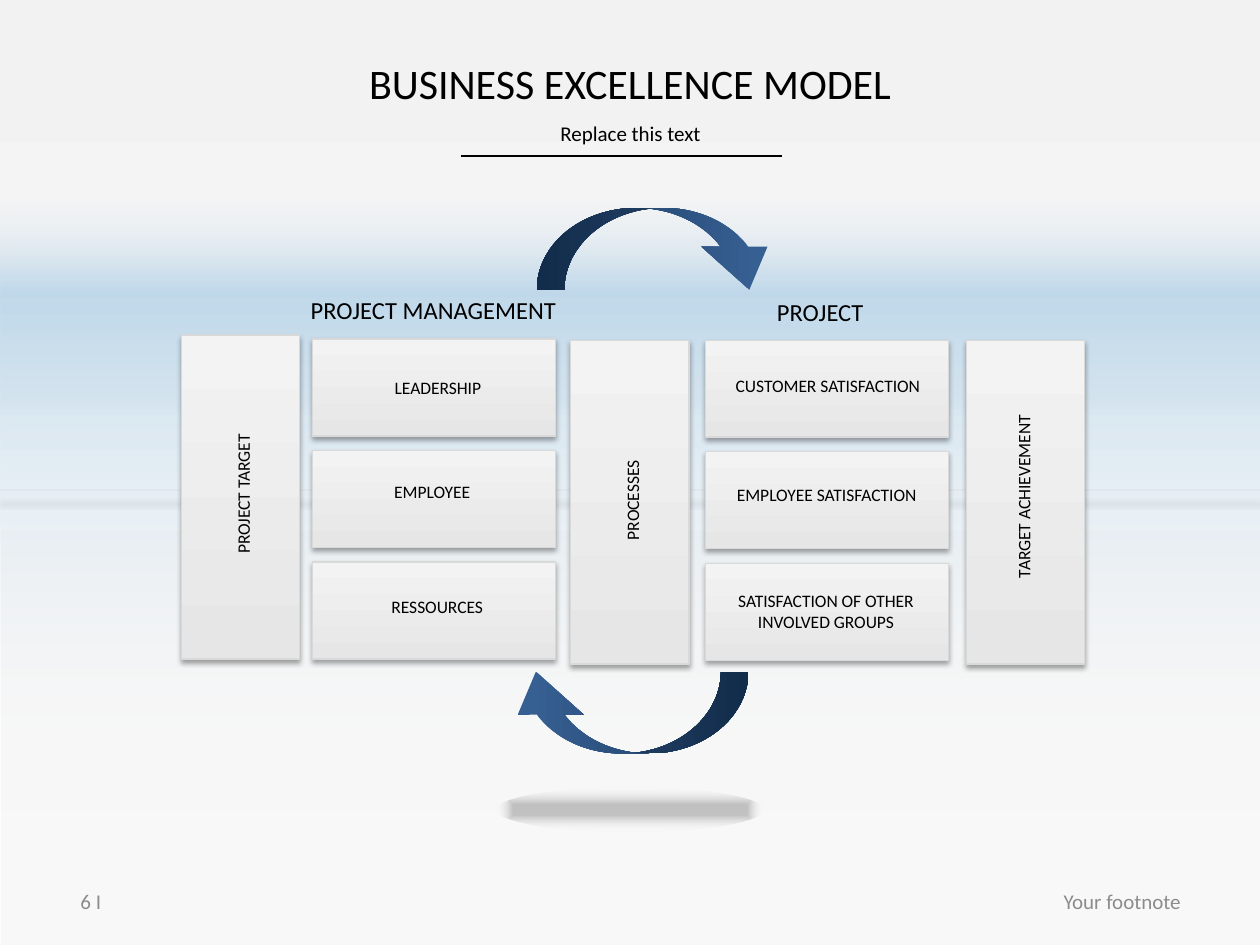
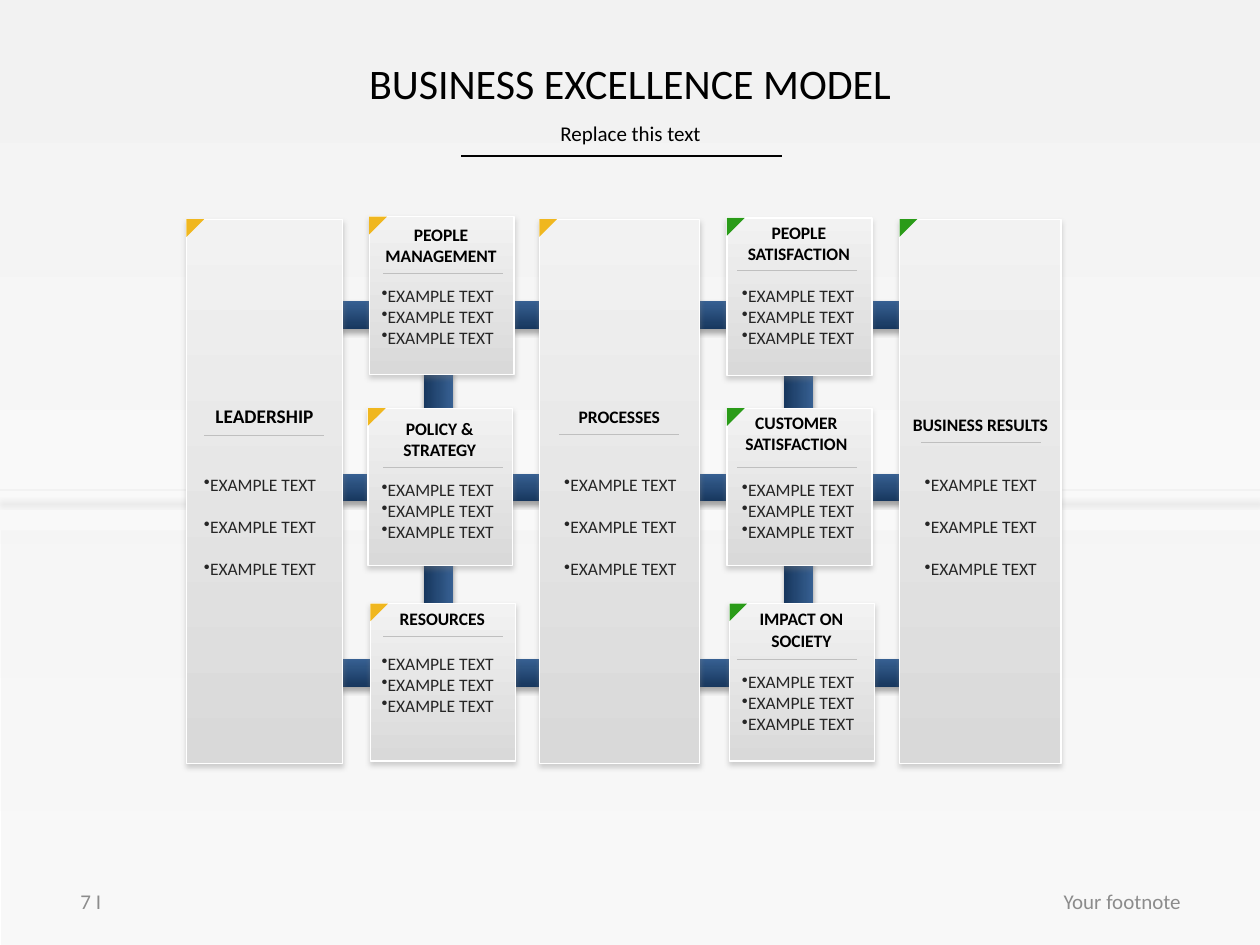
from dataclasses import dataclass
from typing import Any

from pptx import Presentation
from pptx.dml.color import RGBColor
from pptx.enum.shapes import MSO_CONNECTOR as Link, MSO_SHAPE as Shape
from pptx.enum.text import MSO_ANCHOR as Anchor, PP_ALIGN as Align
from pptx.oxml import parse_xml
from pptx.oxml.ns import nsdecls
from pptx.util import Inches, Pt

COLORS = {
    "black": "000000", "white": "FFFFFF", "text": "262626", "footer": "8C8C8C",
    "mist": "F2F2F2", "silver": "D9D9D9", "rule": "BFBFBF", "shade": "808080",
    "pale": "F3F3F3", "ash": "E6E6E6", "sky": "0070C0",
    "blue": "376092", "navy": "17375E", "enabler": "F0B71F", "result": "2A9B18",
}
FONT = "Calibri"
COLUMNS, ROWS = 100, 75
DOWN, LEFTWARD, UP = 90, 180, 270

CARD = [(0, "ash"), (100, "pale")]
PANEL = [(0, "mist"), (100, "silver")]
BAR = [(0, "blue"), (100, "navy")]
ARROW = [(11, "blue"), (100, "navy")]
HAZE = [(0, "white", 0), (19, "sky", 22), (100, "white", 0)]
GLOW = [(24, "black", 22), (100, "white", 0)]


def color_xml(name, alpha=100):
    return f'<a:srgbClr val="{COLORS[name]}"><a:alpha val="{alpha * 1000}"/></a:srgbClr>'


@dataclass
class Deck:
    prs: Any
    slide: Any = None

    def x(self, columns):
        return round(self.prs.slide_width * columns / COLUMNS)

    def y(self, rows):
        return round(self.prs.slide_height * rows / ROWS)

    def cells(self, left, top, width, height):
        return self.x(left), self.y(top), self.x(width), self.y(height)

    def effects(self, item, shadow=None, alpha=35, distance=1.8):
        inner = ""
        if shadow:
            inner = (f'<a:outerShdw blurRad="{Pt(3.1)}" dist="{Pt(distance)}" dir="5400000" '
                     f'rotWithShape="0">{color_xml(shadow, alpha)}</a:outerShdw>')
        item._element.spPr.append(
            parse_xml(f'<a:effectLst {nsdecls("a")}>{inner}</a:effectLst>'))

    def shape(self, kind, area, stops, angle=DOWN, line=None, shadow=None, rotation=0):
        item = self.slide.shapes.add_shape(kind, *self.cells(*area))
        item.rotation = rotation
        if line:
            item.line.color.rgb = RGBColor.from_string(COLORS[line])
            item.line.width = Pt(0.75)
        else:
            item.line.fill.background()
        if len(stops) == 1:
            fill = f'<a:solidFill {nsdecls("a")}>{color_xml(*stops[0][1:])}</a:solidFill>'
        else:
            marks = "".join(f'<a:gs pos="{spot * 1000}">{color_xml(*tint)}</a:gs>'
                            for spot, *tint in stops)
            if angle is None:
                course = ('<a:path path="shape"><a:fillToRect l="50000" t="50000" '
                          'r="50000" b="50000"/></a:path>')
            else:
                course = f'<a:lin ang="{angle * 60000}" scaled="0"/>'
            fill = (f'<a:gradFill {nsdecls("a")} rotWithShape="1"><a:gsLst>{marks}</a:gsLst>'
                    f'{course}</a:gradFill>')
        item._element.spPr.insert(2, parse_xml(fill))
        self.effects(item, shadow)
        return item

    def rule(self, left, top, width, color="rule", weight=0.5, **shadow):
        item = self.slide.shapes.add_connector(
            Link.STRAIGHT, self.x(left), self.y(top), self.x(left + width), self.y(top))
        item.line.color.rgb = RGBColor.from_string(COLORS[color])
        item.line.width = Pt(weight)
        self.effects(item, **shadow)

    def text(self, words, area, size=10, color="black", align=Align.CENTER, bold=False,
             anchor=Anchor.TOP, spacing=None, gap=0, rotation=0):
        box = self.slide.shapes.add_textbox(*self.cells(*area))
        box.rotation = rotation
        frame = box.text_frame
        frame.word_wrap = True
        frame.vertical_anchor = anchor
        frame.text = words
        for index, paragraph in enumerate(frame.paragraphs):
            paragraph.alignment = align
            if spacing:
                paragraph.line_spacing = spacing
            if gap and index:
                paragraph.space_before = Pt(gap)
            for run in paragraph.runs:
                run.font.name = FONT
                run.font.size = Pt(size)
                run.font.bold = bold
                run.font.color.rgb = RGBColor.from_string(COLORS[color])
        return frame

    def bullets(self, left, top, height, gap=0):
        frame = self.text("\n".join(["EXAMPLE TEXT"] * 3), (left, top, 13.4, height),
                          color="text", align=Align.LEFT, gap=gap)
        for paragraph in frame.paragraphs:
            paragraph._p.get_or_add_pPr().append(
                parse_xml(f'<a:buChar {nsdecls("a")} char="•"/>'))

    def card(self, area):
        self.shape(Shape.RECTANGLE, area, CARD, UP, "silver", "black")

    def panel(self, area):
        self.shape(Shape.RECTANGLE, area, PANEL, DOWN, "white", "shade")

    def corner(self, left, top, role):
        self.shape(Shape.RIGHT_TRIANGLE, (left, top, 1.4, 1.4), [(0, role)], rotation=90)

    def bar(self, area, rotation=0):
        self.shape(Shape.RECTANGLE, area, BAR, shadow="black", rotation=rotation)

    def curved_arrow(self, left, top, rotation=0):
        item = self.shape(Shape.CURVED_DOWN_ARROW, (left, top, 19.5, 6.5), ARROW, LEFTWARD,
                          rotation=rotation)
        for index, value in enumerate((0.337, 0.808, 0.527)):
            item.adjustments[index] = value

    def new_slide(self, number, haze=False):
        self.slide = self.prs.slides.add_slide(self.prs.slide_layouts[6])
        page = (0, 0, COLUMNS, ROWS)
        self.shape(Shape.RECTANGLE, page, [(0, "silver"), (100, "mist")], 297)
        self.shape(Shape.RECTANGLE, page, [(1, "mist"), (100, "white")])
        self.shape(Shape.RECTANGLE, (0.1, 42.1, 99.9, 32.9), [(0, "mist", 49)])
        self.rule(0, 38.9, COLUMNS, "mist", 1, shadow="black", alpha=16, distance=7.5)
        self.rule(36.6, 12.4, 25.5, "black", 1)
        if haze:
            self.shape(Shape.RECTANGLE, (0, 14.4, COLUMNS, 46.3), HAZE)
        self.text("Replace this text", (6.9, 9.5, 86.3, 2.7), 12, spacing=0.8)
        self.text("BUSINESS EXCELLENCE MODEL", (6.9, 4.8, 86.2, 4.3), 24,
                  anchor=Anchor.MIDDLE, spacing=0.8)
        for words, left, align in ((f"{number} I", 5.4, Align.LEFT),
                                   ("Your footnote", 72.2, Align.RIGHT)):
            self.text(words, (left, 69.5, 22.5, 4), 12, "footer", align,
                      anchor=Anchor.MIDDLE)


def project_model(deck):
    deck.new_slide(6, haze=True)
    for left, top in ((14.4, 26.6), (45.3, 27), (76.7, 27)):
        deck.card((left, top, 9.4, 25.7))
    for left, top in ((24.8, 26.9), (56, 27)):
        for row in range(3):
            deck.card((left, top + 8.85 * row, 19.3, 7.7))
    deck.curved_arrow(42.6, 16.5)
    deck.curved_arrow(39.9, 53.3, rotation=180)
    deck.shape(Shape.OVAL, (39.4, 62.5, 21.2, 3.5), GLOW, angle=None)

    for heading, left, top, width in (("PROJECT MANAGEMENT", 22.3, 22.9, 24.2),
                                      ("PROJECT", 60.1, 23.1, 10)):
        deck.text(heading, (left, top, width, 3.8), 14)
    for name, left, top, width in (
            ("LEADERSHIP", 28.5, 29.4, 12.5),
            ("EMPLOYEE", 28.5, 37.7, 11.6),
            ("RESSOURCES", 28.9, 46.8, 11.6),
            ("CUSTOMER SATISFACTION", 55.9, 29.3, 19.6),
            ("EMPLOYEE SATISFACTION", 56, 37.9, 19.2),
            ("SATISFACTION OF OTHER INVOLVED GROUPS", 56, 46.3, 19.1)):
        deck.text(name, (left, top, width, 3))
    for name, left, top, width in (("PROJECT TARGET", 10.3, 37.7, 18.3),
                                   ("PROCESSES", 43.8, 38.2, 13.1),
                                   ("TARGET ACHIEVEMENT", 72.4, 37.9, 18)):
        deck.text(name, (left, top, width, 3), rotation=270)


def criteria_model(deck):
    deck.new_slide(7)
    for left, top in ((19, 23.9), (20.9, 37.6), (19.7, 52.3)):
        deck.bar((left, top, 57.5, 2.2))
    for left, top in ((50.6, 35.8), (22, 34.3)):
        deck.bar((left, top, 25.6, 2.3), rotation=90)

    pillars = (
        ("LEADERSHIP", "enabler", 14.8, 12.4, 31.6, 11, 16.2, 34.6, 15.2),
        ("PROCESSES", "enabler", 42.8, 12.7, 31.7, 10, 44.4, 34.5, 43.8),
        ("BUSINESS RESULTS", "result", 71.4, 12.8, 32.4, 10, 73.1, 35.1, 72.4),
    )
    for name, role, left, width, name_top, size, rule_left, rule_top, list_left in pillars:
        deck.panel((left, 17.4, width, 43.2))
        deck.text(name, (left - 0.1, name_top, width + 0.2, 2.8), size, bold=True)
        deck.rule(rule_left, rule_top, 9.5)
        deck.bullets(list_left, 37.1, 9.4, gap=12.2)
        deck.corner(left, 17.4, role)

    stacks = (
        ("enabler", 30.4, 29.3, (
            ("PEOPLE MANAGEMENT", 29.3, 17.2, 29.2, 17.3, 21.7, 22.1),
            ("POLICY & STRATEGY", 29.2, 32.4, 29.1, 32.7, 37.1, 37.5),
            ("RESOURCES", 29.4, 47.9, 29.3, 47.8, 50.5, 51.3))),
        ("result", 58.5, 57.9, (
            ("PEOPLE SATISFACTION", 57.7, 17.3, 57.6, 17.1, 21.5, 22.1),
            ("CUSTOMER SATISFACTION", 57.7, 32.4, 57.4, 32.2, 37.1, 37.5),
            ("IMPACT ON SOCIETY", 57.9, 47.9, 57.8, 47.8, 52.3, 52.8))),
    )
    for role, rule_left, list_left, criteria in stacks:
        for name, left, top, name_left, name_top, rule_top, list_top in criteria:
            deck.panel((left, top, 11.5, 12.5))
            deck.text(name, (name_left, name_top, 11.6, 4.5), bold=True)
            deck.rule(rule_left, rule_top, 9.5)
            deck.bullets(list_left, list_top, 7.7)
            deck.corner(left, top, role)


def main():
    prs = Presentation()
    prs.slide_width, prs.slide_height = Inches(10), Inches(7.5)
    deck = Deck(prs)
    project_model(deck)
    criteria_model(deck)
    prs.save("out.pptx")


if __name__ == "__main__":
    main()
